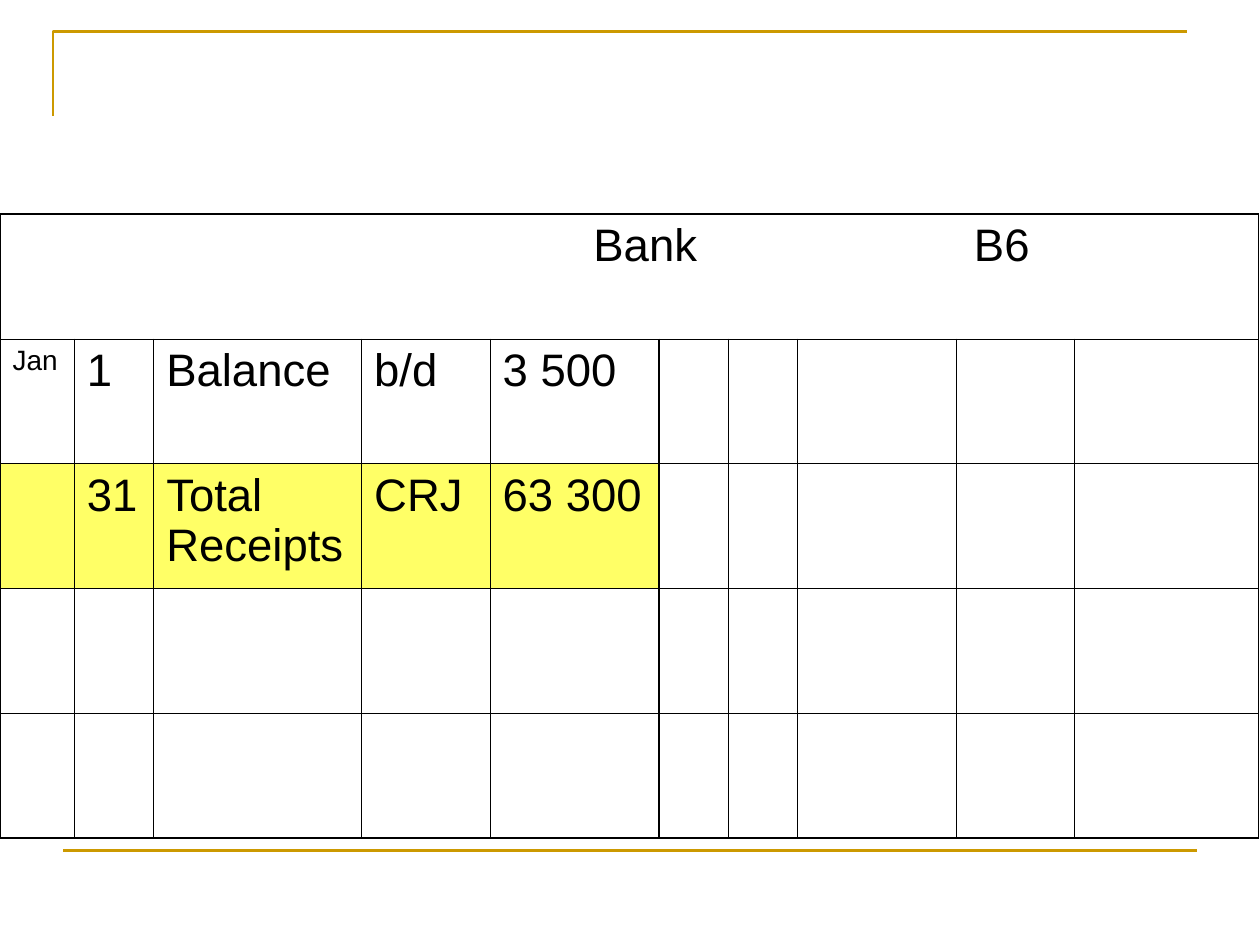
"""Build a slide with the Bank ledger account and its posted receipts."""
from lxml.etree import SubElement
from pptx import Presentation
from pptx.dml.color import RGBColor
from pptx.enum.shapes import MSO_CONNECTOR
from pptx.oxml.ns import qn
from pptx.util import Inches, Pt

BLACK = RGBColor(0, 0, 0)
WHITE = RGBColor(255, 255, 255)
GOLD = RGBColor(0xCC, 0x99, 0x00)
YELLOW = RGBColor(0xFF, 0xFF, 0x66)

HEAD = "\tBank\tB6"
STOPS = [4.61, 7.63]
ROWS = [
    ["Jan", "1", "Balance", "b/d", "3 500"],
    ["", "31", "Total Receipts", "CRJ", "63 300"],
    [],
    [],
]
WIDTHS = [0.59, 0.63, 1.65, 1.02, 1.34, 0.55, 0.55, 1.26, 0.94, 1.46]
HEIGHT = 0.99
TOP = 1.7
MID = 5
MARKED = 2
THIN, EDGE, SPLIT = 0.45, 1.08, 1.47


def put_text(cell, text, size=26, color=BLACK, font="Arial", stops=()):
    para = cell.text_frame.paragraphs[0]
    if stops:
        tabs = SubElement(para._p.get_or_add_pPr(), qn("a:tabLst"))
        for stop in stops:
            SubElement(tabs, qn("a:tab"), pos=str(Inches(stop)), algn="l")
    run = para.add_run()
    run.text = text
    run.font.size = Pt(size)
    run.font.name = font
    run.font.color.rgb = color


def set_border(cell, **sides):
    props = cell._tc.get_or_add_tcPr()
    for side in "LRTB":
        line = SubElement(props, qn(f"a:ln{side}"), w=str(Pt(sides[side])))
        fill = SubElement(line, qn("a:solidFill"))
        SubElement(fill, qn("a:srgbClr"), val=str(BLACK))


def rule_width(index, last, split=None):
    if index in (0, last):
        return EDGE
    return SPLIT if index == split else THIN


def add_frame(slide):
    pen = slide.shapes.build_freeform(Inches(0.42), Inches(0.92))
    pen.add_line_segments(
        [(Inches(0.42), Inches(0.25)), (Inches(9.42), Inches(0.25))], close=False
    )
    corner = pen.convert_to_shape()
    corner.shadow.inherit = False
    corner.fill.background()
    base = slide.shapes.add_connector(
        MSO_CONNECTOR.STRAIGHT, Inches(0.5), Inches(6.75), Inches(9.5), Inches(6.75)
    )
    SubElement(base._element.spPr, qn("a:effectLst"))
    for shape in (corner, base):
        shape.line.color.rgb = GOLD
        shape.line.width = Pt(1.5)


def add_ledger(slide):
    rows, cols = len(ROWS) + 1, len(WIDTHS)
    table = slide.shapes.add_table(
        rows, cols, 0, Inches(TOP), Inches(sum(WIDTHS)), Inches(HEIGHT * rows)
    ).table
    table.first_row = table.horz_banding = False
    for col, width in zip(table.columns, WIDTHS):
        col.width = Inches(width)
    for r, row in enumerate(table.rows):
        row.height = Inches(HEIGHT)
        for c, cell in enumerate(row.cells):
            split = MID if r else None
            set_border(
                cell,
                L=rule_width(c, cols, split),
                R=rule_width(c + 1, cols, split),
                T=rule_width(r, rows),
                B=rule_width(r + 1, rows),
            )
            cell.fill.solid()
            cell.fill.fore_color.rgb = YELLOW if r == MARKED and c < MID else WHITE
    table.cell(0, 0).merge(table.cell(0, cols - 1))
    put_text(table.cell(0, 0), HEAD, stops=STOPS)
    for r, texts in enumerate(ROWS, 1):
        for c, text in enumerate(texts):
            if text:
                put_text(table.cell(r, c), text, size=26 if c else 16)


def main():
    deck = Presentation()
    deck.slide_width, deck.slide_height = Inches(10), Inches(7.5)
    slide = deck.slides.add_slide(deck.slide_layouts[6])
    add_frame(slide)
    add_ledger(slide)
    deck.save("out.pptx")


if __name__ == "__main__":
    main()
